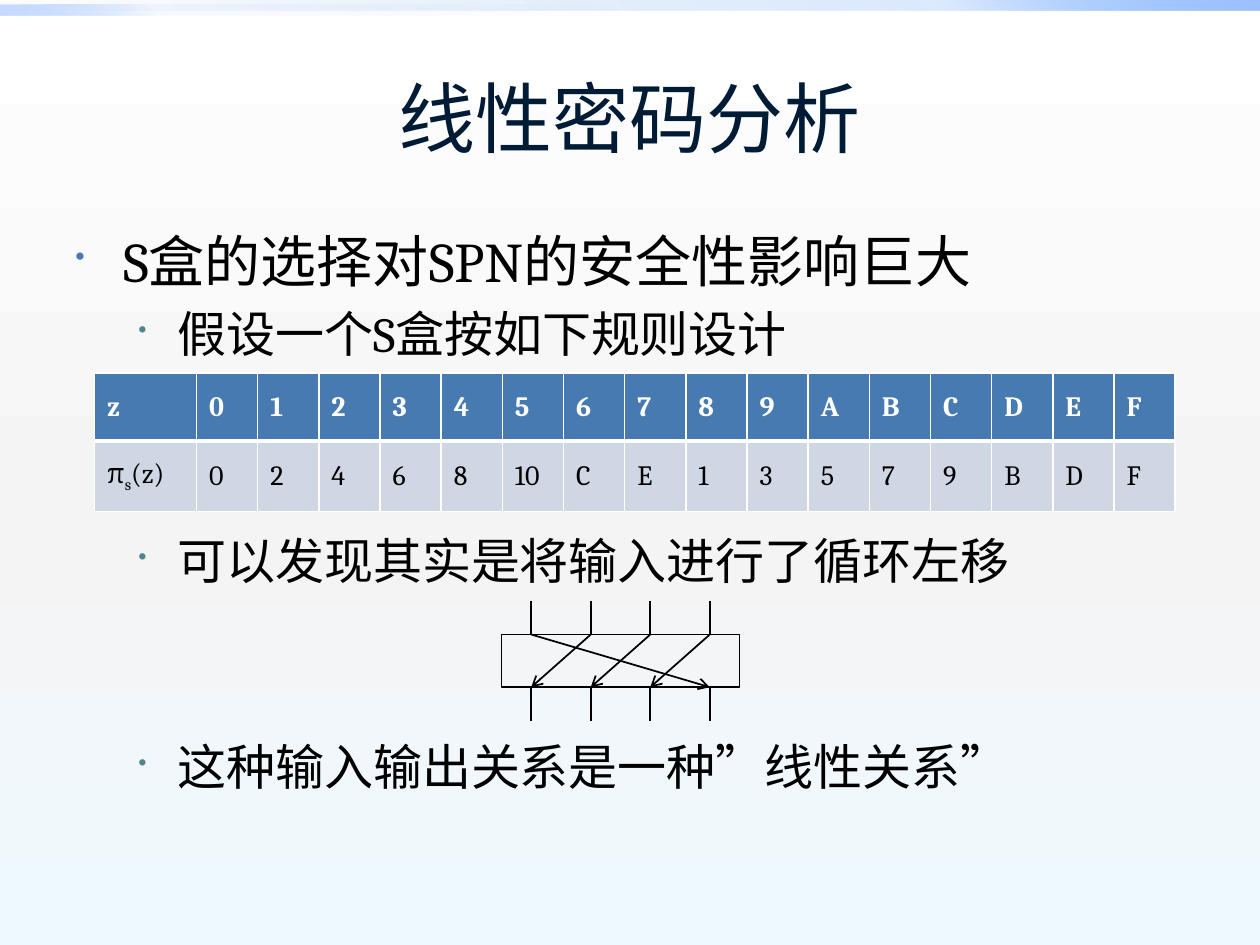
import dataclasses

import pptx
import pptx.dml.color
import pptx.enum.shapes
import pptx.enum.text
import pptx.oxml
import pptx.oxml.ns
import pptx.util

CELL = pptx.util.Inches(0.1)  # the slide is a grid of 100 columns by 75 rows
COLUMNS, ROWS = 100, 75


@dataclasses.dataclass(frozen=True)
class Theme:
    title_font: str = "Roboto"
    body_font: str = "Cambria"
    title_size: int = 44
    point_size: int = 32
    subpoint_size: int = 28
    table_size: int = 16
    title: str = "001B36"
    ink: str = "000000"
    white: str = "FFFFFF"
    accent: str = "477AB1"
    subpoint_bullet: str = "51848E"
    table_band: str = "CFD7E4"
    backdrop: tuple = ((0, "FFFFFF", 100), (55, "F4F4F4", 100), (100, "EEF9FF", 100))
    top_bar: tuple = ((0, "0058B7", 0), (75, "4F95FF", 20), (100, "9EC2FF", 100))
    half_bar: tuple = ((0, "0058B7", 0), (75, "4F95FF", 5), (100, "9EC2FF", 60))


THEME = Theme()


@dataclasses.dataclass(frozen=True)
class Box:
    """A region measured in grid columns and rows."""
    left: float
    top: float
    width: float
    height: float

    def emu(self):
        return [round(n * CELL) for n in (self.left, self.top, self.width, self.height)]

    def point(self, across, down):
        """Return the EMU position at the given shares of the box."""
        return (round((self.left + across * self.width) * CELL),
                round((self.top + down * self.height) * CELL))


def rgb(colour):
    return pptx.dml.color.RGBColor.from_string(colour)


def add_xml(parent, markup):
    name, rest = markup[1:].split(" ", 1)
    element = pptx.oxml.parse_xml(f"<{name} {pptx.oxml.ns.nsdecls('a')} {rest}")
    parent.append(element)
    return element


def set_gradient(fill, parent, stops, angle):
    """Replace a solid fill inside parent with a clockwise-angled gradient."""
    fill.solid()
    markup = "".join(
        f'<a:gs pos="{place * 1000}"><a:srgbClr val="{colour}">'
        f'<a:alpha val="{opacity * 1000}"/></a:srgbClr></a:gs>'
        for place, colour, opacity in stops)
    gradient = add_xml(parent, f'<a:gradFill rotWithShape="1"><a:gsLst>{markup}</a:gsLst>'
                               f'<a:lin ang="{angle * 60000}" scaled="0"/></a:gradFill>')
    parent.replace(parent.find(pptx.oxml.ns.qn("a:solidFill")), gradient)


def write(para, text, *, font=THEME.body_font, size, colour=THEME.ink, bold=False, baseline=0):
    span = para.add_run()
    span.text = text
    span.font.name = font
    span.font.size = pptx.util.Pt(size)
    span.font.bold = bold
    span.font.color.rgb = rgb(colour)
    if baseline:
        span.font._element.set("baseline", str(baseline * 1000))


def add_bullet(para, indent, hanging, colour):
    properties = para._p.get_or_add_pPr()
    properties.set("marL", str(round(indent * CELL)))
    properties.set("indent", str(round(-hanging * CELL)))
    add_xml(properties, f'<a:buClr ><a:srgbClr val="{colour}"/></a:buClr>')
    add_xml(properties, '<a:buSzPct val="50000"/>')
    add_xml(properties, '<a:buChar char="•"/>')


def draw_bar(page, box, stops, angle):
    bar = page.shapes.add_shape(pptx.enum.shapes.MSO_SHAPE.RECTANGLE, *box.emu())
    bar.shadow.inherit = False
    bar.line.fill.background()
    set_gradient(bar.fill, bar._element.spPr, stops, angle)


def draw_backdrop(page, box):
    fill = page.background.fill
    fill.solid()
    background = page._element.cSld.find(".//" + pptx.oxml.ns.qn("p:bgPr"))
    set_gradient(fill, background, THEME.backdrop, 90)
    draw_bar(page, Box(box.left, box.top, box.width, 0.8), THEME.top_bar, 315)
    draw_bar(page, Box(box.left, box.top + 0.4, box.width / 2, 0.8), THEME.half_bar, 135)


def add_text_frame(page, box):
    frame = page.shapes.add_textbox(*box.emu()).text_frame
    frame.word_wrap = True
    return frame


def draw_title(page, box, text):
    frame = add_text_frame(page, box)
    frame.vertical_anchor = pptx.enum.text.MSO_ANCHOR.MIDDLE
    para = frame.paragraphs[0]
    para.alignment = pptx.enum.text.PP_ALIGN.CENTER
    write(para, text, font=THEME.title_font, size=THEME.title_size, colour=THEME.title)


def draw_points(page, box, point, subpoints):
    """Place one main point, then subpoints given as (space before, text)."""
    frame = add_text_frame(page, box)
    para = frame.paragraphs[0]
    add_bullet(para, 3.8, 3.8, THEME.accent)
    write(para, point, size=THEME.point_size)
    for space, text in subpoints:
        para = frame.add_paragraph()
        para.level = 1
        para.space_before = pptx.util.Pt(space)
        add_bullet(para, 8.1, 3.1, THEME.subpoint_bullet)
        write(para, text, size=THEME.subpoint_size)


def style_cell(cell, fill, bottom_width):
    cell.vertical_anchor = pptx.enum.text.MSO_ANCHOR.MIDDLE
    properties = cell._tc.get_or_add_tcPr()
    for side, width in (("L", 1), ("R", 1), ("T", 1), ("B", bottom_width)):
        add_xml(properties, f'<a:ln{side} w="{pptx.util.Pt(width)}"><a:solidFill>'
                            f'<a:srgbClr val="{THEME.white}"/></a:solidFill></a:ln{side}>')
    cell.fill.solid()
    cell.fill.fore_color.rgb = rgb(fill)


def draw_substitution_table(page, box, inputs, outputs):
    label_width, heights = 8.1, (5.4, 5.6)
    table = page.shapes.add_table(2, len(inputs) + 1, *box.emu()).table
    for index, column in enumerate(table.columns):
        width = (box.width - label_width) / len(inputs) if index else label_width
        column.width = round(width * CELL)
    for row, height in zip(table.rows, heights):
        row.height = round(height * CELL)

    header = dict(size=THEME.table_size, colour=THEME.white, bold=True)
    body = dict(size=THEME.table_size)
    lines = ((["z", *inputs], header, THEME.accent, 3),
             (["", *outputs], body, THEME.table_band, 1))
    for row, (texts, text_format, fill, bottom_width) in zip(table.rows, lines):
        for cell, text in zip(row.cells, texts):
            style_cell(cell, fill, bottom_width)
            if text:
                write(cell.text_frame.paragraphs[0], text, **text_format)
    label = table.cell(1, 0).text_frame.paragraphs[0]
    for text, baseline in (("π", 0), ("s", -25), ("(z)", 0)):
        write(label, text, baseline=baseline, **body)


def draw_line(shapes, start, end, arrow=False):
    line = shapes.add_connector(pptx.enum.shapes.MSO_CONNECTOR.STRAIGHT, *start, *end)
    line.line.color.rgb = rgb(THEME.ink)
    line.line.width = pptx.util.Pt(1)
    if arrow:
        add_xml(line.line._get_or_add_ln(), '<a:tailEnd type="arrow"/>')
    add_xml(line._element.spPr, '<a:effectLst />')


def draw_rotation(page, box, lanes=4):
    """Draw the wires of a left rotation by one lane."""
    shapes = page.shapes.add_group_shape().shapes
    entry, leave = 0.28, 0.72
    frame = Box(box.left, box.top + entry * box.height, box.width, (leave - entry) * box.height)
    outline = shapes.add_shape(pptx.enum.shapes.MSO_SHAPE.RECTANGLE, *frame.emu())
    outline.shadow.inherit = False
    outline.fill.background()
    outline.line.color.rgb = rgb(THEME.ink)
    outline.line.width = pptx.util.Pt(1)
    centres = [(lane + 0.5) / lanes for lane in range(lanes)]
    for lane, centre in enumerate(centres):
        draw_line(shapes, box.point(centre, 0), box.point(centre, entry))
        draw_line(shapes, box.point(centre, leave), box.point(centre, 1))
        draw_line(shapes, box.point(centre, entry), box.point(centres[lane - 1], leave), arrow=True)


def main():
    deck = pptx.Presentation()
    deck.slide_width, deck.slide_height = COLUMNS * CELL, ROWS * CELL
    page = deck.slides.add_slide(deck.slide_layouts[6])
    draw_backdrop(page, Box(0, 0, COLUMNS, ROWS))
    draw_title(page, Box(5, 3, 90, 12.5), "线性密码分析")
    draw_points(page, Box(5, 17.5, 85.9, 49.5), "S盒的选择对SPN的安全性影响巨大", (
        (5.6, "假设一个S盒按如下规则设计"),
        (96, "可以发现其实是将输入进行了循环左移"),
        (84, "这种输入输出关系是一种”线性关系”")))
    draw_substitution_table(page, Box(7.5, 29.6, 85.8, 11), "0123456789ABCDEF",
                            ["0", "2", "4", "6", "8", "10", *"CE13579BDF"])
    draw_rotation(page, Box(39.8, 47.7, 18.9, 9.5))
    deck.save("out.pptx")


if __name__ == "__main__":
    main()
